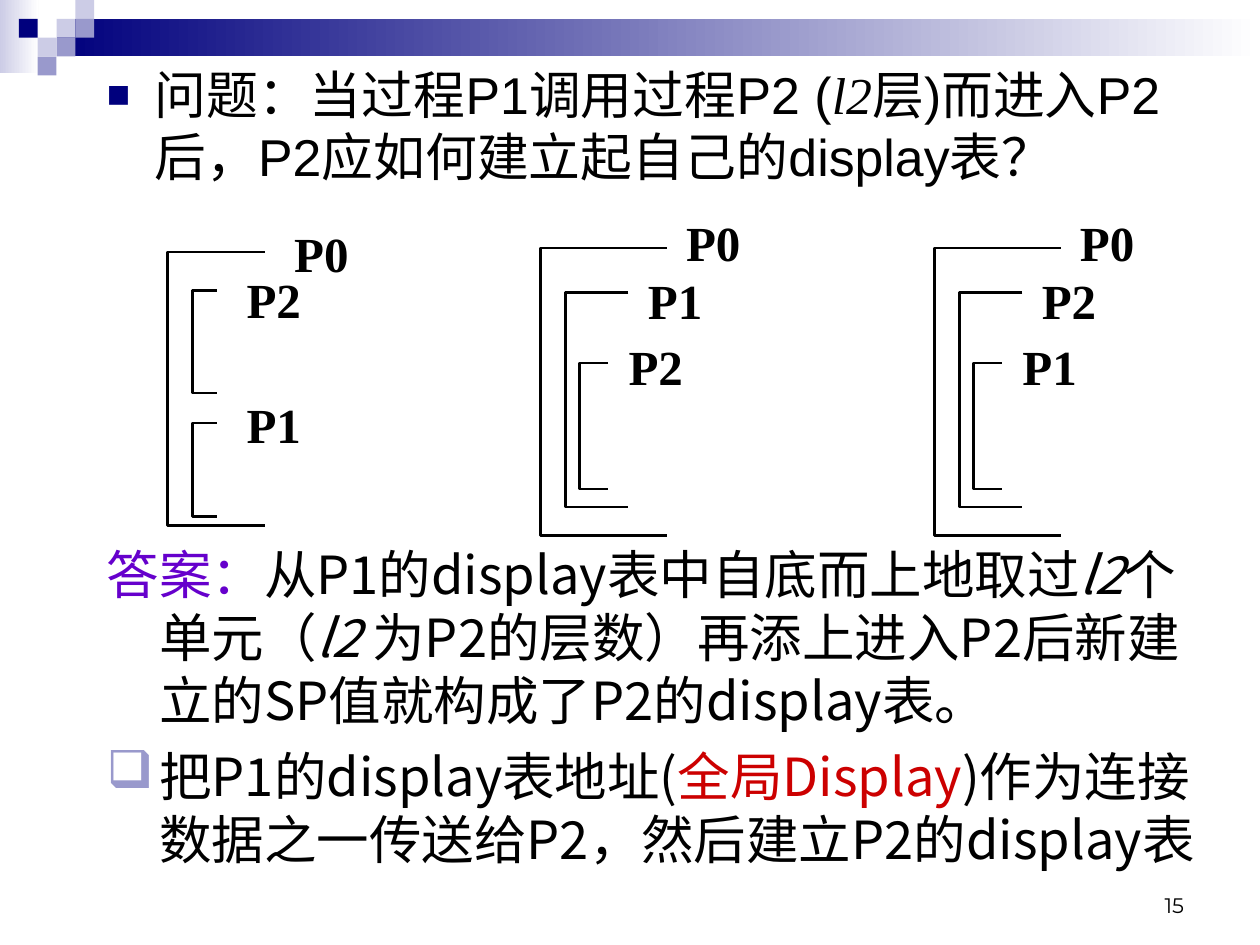
from dataclasses import dataclass
from typing import Any

from lxml import etree
from pptx import Presentation
from pptx.dml.color import RGBColor
from pptx.enum.shapes import MSO_SHAPE
from pptx.enum.text import MSO_ANCHOR, MSO_AUTO_SIZE, PP_ALIGN
from pptx.oxml.ns import qn
from pptx.util import Cm, Pt

RECTANGLE = MSO_SHAPE.RECTANGLE
TOP, MIDDLE, BOTTOM = MSO_ANCHOR.TOP, MSO_ANCHOR.MIDDLE, MSO_ANCHOR.BOTTOM
LEFT, CENTER, RIGHT = PP_ALIGN.LEFT, PP_ALIGN.CENTER, PP_ALIGN.RIGHT
NO_AUTOFIT = MSO_AUTO_SIZE.NONE

COLORS = {
    "black": "000000", "white": "FFFFFF", "navy": "00007D", "lilac": "CCCCE6",
    "lavender": "9999CC", "purple": "6600CC", "red": "CC0000",
}
CJK, SERIF = "Noto Sans CJK SC", "Times New Roman"
QUESTION = {"size": Pt(29.6), "name": "Arial"}
ANSWER = {"size": Pt(30), "name": CJK}
LABEL = {"size": Pt(28), "name": SERIF, "bold": True}
NUMBER = {"size": Pt(12), "name": "Montserrat"}
UNIT = 0.38


@dataclass(frozen=True)
class Box:
    left: float
    top: float
    width: float
    height: float

    def lengths(self) -> tuple:
        return Cm(self.left), Cm(self.top), Cm(self.width), Cm(self.height)


@dataclass(frozen=True)
class Piece:
    text: str
    style: dict
    color: str = "black"
    italic: bool = False


@dataclass(frozen=True)
class Bullet:
    symbol: str
    color: str
    percent: int


@dataclass(frozen=True)
class Procedure:
    name: str
    bracket: Box
    label_left: float
    label_top: float


def rgb(name: str) -> RGBColor:
    return RGBColor.from_string(COLORS[name])


def add_bar(slide: Any, box: Box, color: str, end_color: str = "") -> None:
    shape = slide.shapes.add_shape(RECTANGLE, *box.lengths())
    shape.shadow.inherit = False
    shape.line.fill.background()
    if end_color:
        shape.fill.gradient()
        shape.fill.gradient_angle = 0
        for stop, name in zip(shape.fill.gradient_stops, (color, end_color)):
            stop.color.rgb = rgb(name)
    else:
        shape.fill.solid()
        shape.fill.fore_color.rgb = rgb(color)


def format_frame(frame: Any, anchor: Any, wrap: bool = True) -> None:
    settings = {"auto_size": NO_AUTOFIT, "word_wrap": wrap, "vertical_anchor": anchor}
    for name, value in settings.items():
        setattr(frame, name, value)


def add_pieces(paragraph: Any, pieces: list[Piece]) -> None:
    for piece in pieces:
        run = paragraph.add_run()
        run.text = piece.text
        for name, value in {**piece.style, "italic": piece.italic}.items():
            setattr(run.font, name, value)
        run.font.color.rgb = rgb(piece.color)
        latin = run.font._element.find(qn("a:latin"))
        east_asian = etree.Element(qn("a:ea"), typeface=CJK)
        latin.addnext(east_asian)


def format_paragraph(paragraph: Any, indent: float, before: float,
                     bullet: Bullet | None) -> None:
    paragraph.alignment = LEFT
    paragraph.space_before = Pt(before)
    properties = paragraph._p.get_or_add_pPr()
    properties.set("marL", str(Cm(indent)))
    properties.set("indent", str(-Cm(indent)))
    if bullet is None:
        etree.SubElement(properties, qn("a:buNone"))
        return
    color = etree.SubElement(properties, qn("a:buClr"))
    etree.SubElement(color, qn("a:srgbClr"), val=COLORS[bullet.color])
    etree.SubElement(properties, qn("a:buSzPct"), val=str(bullet.percent * 1000))
    etree.SubElement(properties, qn("a:buChar"), char=bullet.symbol)


def add_text(slide: Any, box: Box, piece: Piece, alignment: Any, anchor: Any,
             wrap: bool) -> None:
    frame = slide.shapes.add_textbox(*box.lengths()).text_frame
    format_frame(frame, anchor, wrap)
    frame.paragraphs[0].alignment = alignment
    add_pieces(frame.paragraphs[0], [piece])


def add_bracket(slide: Any, box: Box) -> None:
    left, top, width, height = box.lengths()
    right, bottom = left + width, top + height
    builder = slide.shapes.build_freeform(right, top)
    builder.add_line_segments([(left, top), (left, bottom), (right, bottom)], close=False)
    shape = builder.convert_to_shape()
    shape.shadow.inherit = False
    shape.fill.background()
    shape.line.color.rgb = rgb("black")
    shape.line.width = Pt(1.5)


def add_procedure(slide: Any, procedure: Procedure) -> None:
    add_bracket(slide, procedure.bracket)
    label = Box(procedure.label_left, procedure.label_top, 2.3, 1.28)
    add_text(slide, label, Piece(procedure.name, LABEL), CENTER, MIDDLE, False)


def nested_procedures(left: float, names: tuple) -> list[Procedure]:
    outer, middle, inner = names
    return [
        Procedure(outer, Box(left, 5, 2.54, 5.8), left + 2.33, 4.24),
        Procedure(middle, Box(left + 0.5, 5.9, 1.27, 4.32), left + 1.56, 5.4),
        Procedure(inner, Box(left + 0.78, 7.32, 0.58, 2.54), left + 1.17, 6.74),
    ]


def add_banner(slide: Any) -> None:
    add_bar(slide, Box(0, 0, 0.78, 1.48), "lilac", "white")
    add_bar(slide, Box(3 * UNIT, UNIT, 24.26, 2 * UNIT), "navy", "white")
    squares = {
        "lilac": [(3, 1), (4, 0), (2, 2)],
        "lavender": [(4, 1), (3, 2), (2, 3)],
        "navy": [(1, 1)],
    }
    for color, cells in squares.items():
        for column, row in cells:
            add_bar(slide, Box(column * UNIT, row * UNIT, UNIT, UNIT), color)


def add_question(slide: Any) -> None:
    body = slide.placeholders[1]
    body.left, body.top, body.width, body.height = Box(1.9, 1.14, 22.6, 3.18).lengths()
    format_frame(body.text_frame, TOP)
    paragraph = body.text_frame.paragraphs[0]
    format_paragraph(paragraph, 0.96, 0, Bullet("■", "navy", 75))
    add_pieces(paragraph, [
        Piece("问题：当过程P1调用过程P2 (", QUESTION),
        Piece("l2", {**QUESTION, "name": SERIF}, italic=True),
        Piece("层)而进入P2后，P2应如何建立起自己的display表？", QUESTION),
    ])


def add_answer(slide: Any) -> None:
    frame = slide.shapes.add_textbox(*Box(1.9, 10.8, 22.6, 6.73).lengths()).text_frame
    format_frame(frame, TOP)
    answer, method = frame.paragraphs[0], frame.add_paragraph()
    format_paragraph(answer, 1.06, 0, None)
    add_pieces(answer, [
        Piece("答案：", ANSWER, "purple"),
        Piece("从P1的display表中自底而上地取过", ANSWER),
        Piece("l2", ANSWER, italic=True),
        Piece("个单元（", ANSWER),
        Piece("l2 ", ANSWER, italic=True),
        Piece("为P2的层数）再添上进入P2后新建立的SP值就构成了P2的display表。", ANSWER),
    ])
    format_paragraph(method, 1.06, 7.5, Bullet("❑", "lavender", 100))
    add_pieces(method, [
        Piece("把P1的display表地址(", ANSWER),
        Piece("全局Display", ANSWER, "red"),
        Piece(")作为连接数据之一传送给P2，然后建立P2的display表", ANSWER),
    ])


def main() -> None:
    presentation = Presentation()
    presentation.slide_width, presentation.slide_height = Cm(25.4), Cm(19.05)
    slide = presentation.slides.add_slide(presentation.slide_layouts[1])
    title = slide.shapes.title._element
    title.getparent().remove(title)
    add_banner(slide)
    add_question(slide)
    add_answer(slide)
    procedures = [
        Procedure("P0", Box(3.38, 5.08, 1.96, 5.51), 5.33, 4.45),
        Procedure("P2", Box(3.88, 5.86, 0.49, 2.06), 4.37, 5.38),
        Procedure("P1", Box(3.88, 8.53, 0.49, 1.88), 4.37, 7.9),
        *nested_procedures(10.9, ("P0", "P1", "P2")),
        *nested_procedures(18.84, ("P0", "P2", "P1")),
    ]
    for procedure in procedures:
        add_procedure(slide, procedure)
    add_text(slide, Box(18.2, 17.35, 5.92, 1.27), Piece("15", NUMBER), RIGHT, BOTTOM, True)
    presentation.save("out.pptx")


if __name__ == "__main__":
    main()
